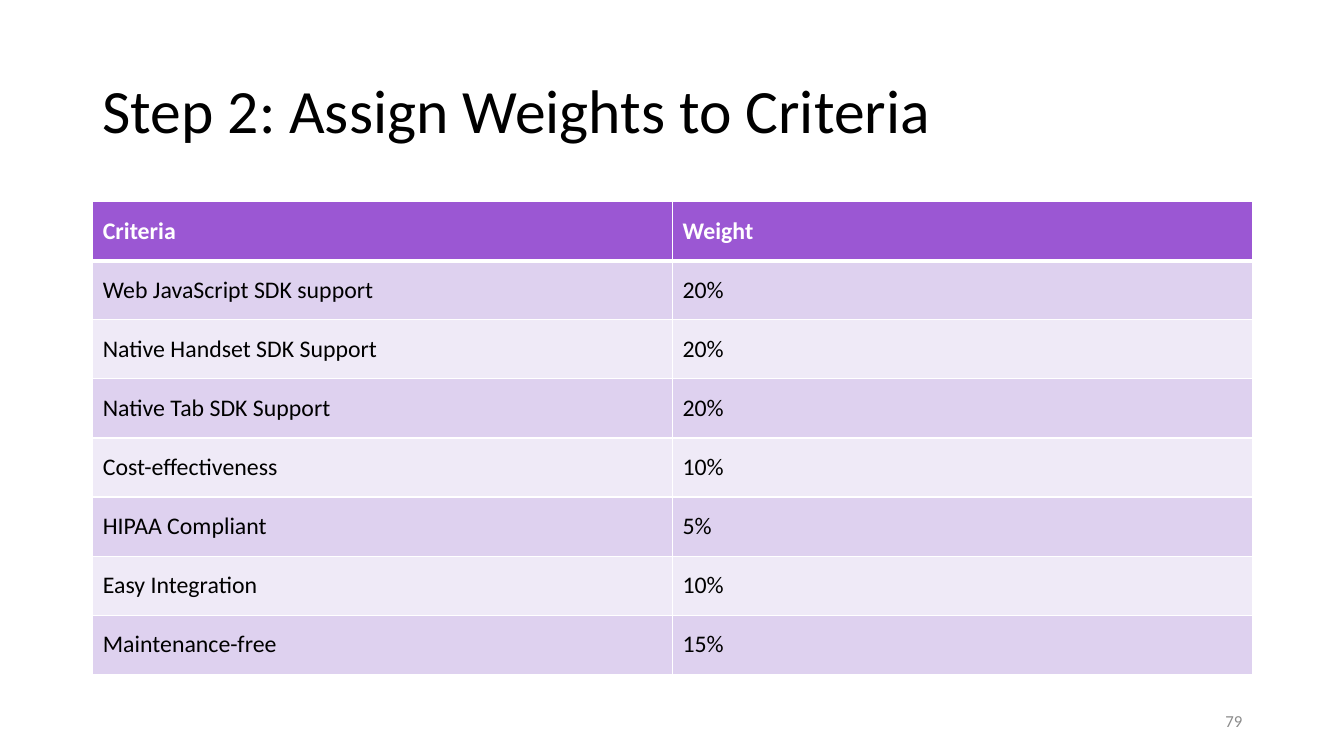
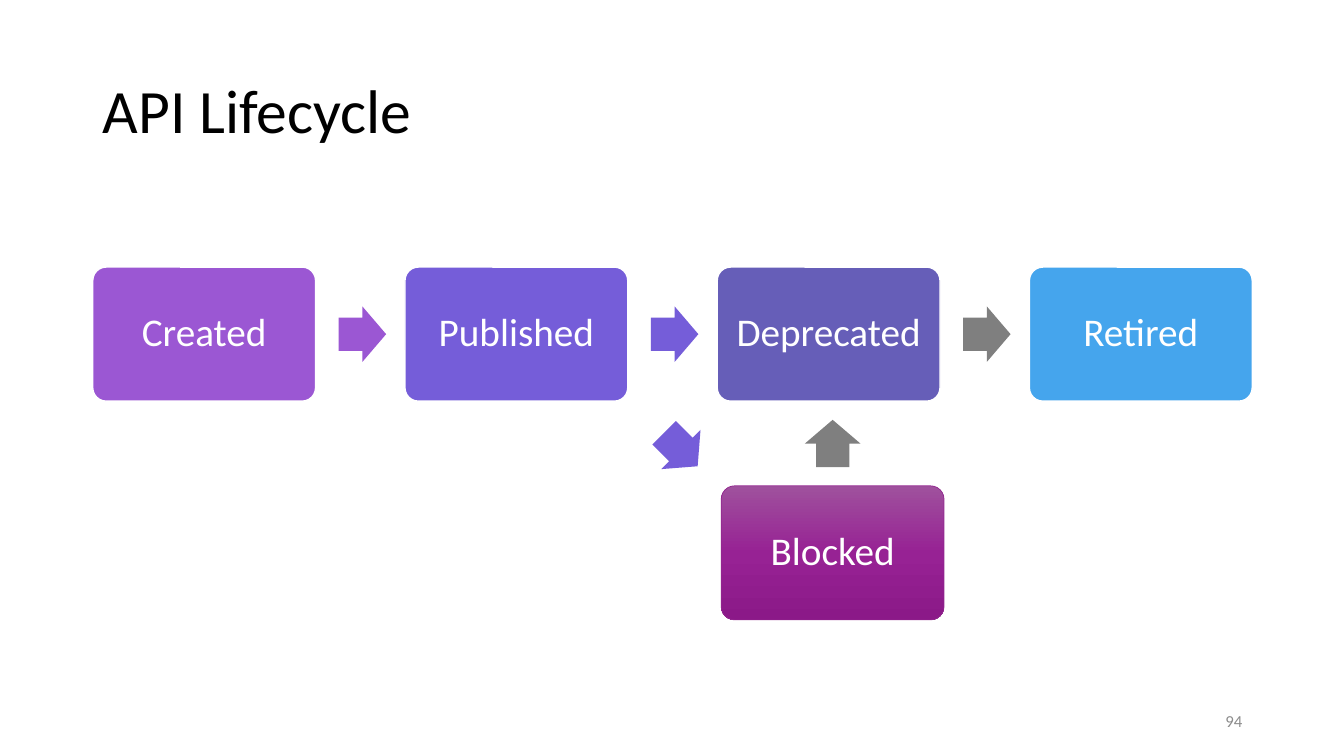
import copy

import lxml.etree
import pptx
import pptx.dml.color
import pptx.enum.shapes
import pptx.enum.text
import pptx.oxml.ns
import pptx.util

RGBColor = pptx.dml.color.RGBColor
Inches = pptx.util.Inches
Pt = pptx.util.Pt
MSO_SHAPE = pptx.enum.shapes.MSO_SHAPE
MIDDLE = pptx.enum.text.MSO_ANCHOR.MIDDLE
PP_ALIGN = pptx.enum.text.PP_ALIGN
qn = pptx.oxml.ns.qn

FONT = "Calibri"
WHITE = RGBColor(0xFF, 0xFF, 0xFF)
BLACK = RGBColor(0x00, 0x00, 0x00)
GREY = RGBColor(0x8C, 0x8C, 0x8C)
PURPLE = RGBColor(0x9B, 0x57, 0xD3)
VIOLET = RGBColor(0x75, 0x5D, 0xD9)
INDIGO = RGBColor(0x66, 0x5E, 0xB8)
BLUE = RGBColor(0x45, 0xA5, 0xED)
PLUM = RGBColor(0x92, 0x27, 0x8F)
BAND_DARK = RGBColor(0xDE, 0xD1, 0xEF)
BAND_LIGHT = RGBColor(0xEF, 0xEA, 0xF7)
BLOCKED_STOPS = [
    (0, RGBColor(0x9F, 0x51, 0x9D)),
    (0.5, RGBColor(0x97, 0x22, 0x94)),
    (1, RGBColor(0x8B, 0x19, 0x88)),
]

# Lengths in inches
PAGE_WIDTH, PAGE_HEIGHT = 13.33, 7.5
LEFT, CONTENT_WIDTH = 0.92, 11.5
TITLE_TOP, TITLE_HEIGHT = 0.4, 1.45
NUMBER_TOP, NUMBER_WIDTH, NUMBER_HEIGHT = 6.95, 3, 0.4
TABLE_TOP, TABLE_HEIGHT = 2, 4.69
STATE_WIDTH, STATE_HEIGHT, STATE_TOP = 2.21, 1.33, 2.65
ARROW_WIDTH, ARROW_HEIGHT, ARROW_GAP = 0.47, 0.55, 0.23
ROW_PITCH = 2.17

CRITERIA = [
    ("Criteria", "Weight"),
    ("Web JavaScript SDK support", "20%"),
    ("Native Handset SDK Support", "20%"),
    ("Native Tab SDK Support", "20%"),
    ("Cost-effectiveness", "10%"),
    ("HIPAA Compliant", "5%"),
    ("Easy Integration", "10%"),
    ("Maintenance-free", "15%"),
]
# State, its colour, colour and opacity of the arrow after it
STATES = [
    ("Created", PURPLE, (PURPLE, 1)),
    ("Published", VIOLET, (VIOLET, 1)),
    ("Deprecated", INDIGO, (BLACK, 0.5)),
    ("Retired", BLUE, None),
]


def write(frame, text, size, color, align=PP_ALIGN.LEFT, bold=False, spacing=1.0):
    """Put one line of text, centred vertically, in a shape or a cell."""
    para = frame.paragraphs[0]
    para.alignment = align
    para.line_spacing = spacing
    span = para.add_run()
    span.text = text
    span.font.name = FONT
    span.font.size = Pt(size)
    span.font.bold = bold
    span.font.color.rgb = color


def add_text(page, left, top, width, height, text, size, color, **style):
    box = page.shapes.add_textbox(*map(Inches, (left, top, width, height)))
    box.text_frame.word_wrap = True
    box.text_frame.vertical_anchor = MIDDLE
    write(box.text_frame, text, size, color, **style)


def add_page(deck, title, number):
    page = deck.slides.add_slide(deck.slide_layouts[6])
    add_text(page, LEFT, TITLE_TOP, CONTENT_WIDTH, TITLE_HEIGHT,
             title, 44, BLACK, spacing=0.9)
    add_text(page, LEFT + CONTENT_WIDTH - NUMBER_WIDTH, NUMBER_TOP,
             NUMBER_WIDTH, NUMBER_HEIGHT, number, 12, GREY, align=PP_ALIGN.RIGHT)
    return page


def set_borders(cell, top, bottom):
    """Draw white borders; top and bottom are widths in points."""
    properties = cell._tc.get_or_add_tcPr()
    edges = [("a:lnL", 1), ("a:lnR", 1), ("a:lnT", top), ("a:lnB", bottom)]
    for index, (tag, width) in enumerate(edges):
        line = lxml.etree.Element(qn(tag), w=str(Pt(width)))
        fill = lxml.etree.SubElement(line, qn("a:solidFill"))
        lxml.etree.SubElement(fill, qn("a:srgbClr"), val=str(WHITE))
        properties.insert(index, line)


def add_criteria_table(page, rows):
    table = page.shapes.add_table(
        len(rows), len(rows[0]),
        *map(Inches, (LEFT, TABLE_TOP, CONTENT_WIDTH, TABLE_HEIGHT))).table
    for row, values in enumerate(rows):
        header = row == 0
        band = PURPLE if header else (BAND_LIGHT, BAND_DARK)[row % 2]
        for column, value in enumerate(values):
            cell = table.cell(row, column)
            cell.vertical_anchor = MIDDLE
            cell.fill.solid()
            cell.fill.fore_color.rgb = band
            set_borders(cell, 3 if row == 1 else 1, 3 if header else 1)
            write(cell.text_frame, value, 17, WHITE if header else BLACK, bold=header)


def add_state(page, left, top, text, color, line_color=WHITE, line_width=1):
    state = page.shapes.add_shape(
        MSO_SHAPE.ROUNDED_RECTANGLE,
        *map(Inches, (left, top, STATE_WIDTH, STATE_HEIGHT)))
    state.adjustments[0] = 0.1
    state.shadow.inherit = False
    state.fill.solid()
    state.fill.fore_color.rgb = color
    state.line.color.rgb = line_color
    state.line.width = Pt(line_width)
    frame = state.text_frame
    frame.word_wrap = True
    frame.vertical_anchor = MIDDLE
    frame.margin_left = frame.margin_right = Inches(0.1)
    write(frame, text, 28, WHITE, align=PP_ALIGN.CENTER, spacing=0.9)
    return state


def set_gradient(shape, stops):
    """Fill a shape from top to bottom with three colour stops."""
    shape.fill.gradient()
    shape.fill.gradient_angle = 270
    first = shape.element.spPr.find(".//" + qn("a:gs"))
    first.addnext(copy.deepcopy(first))
    for stop, (position, color) in zip(shape.fill.gradient_stops, stops):
        stop.position = position
        stop.color.rgb = color


def add_arrow(page, center_x, center_y, color, opacity=1, rotation=0):
    arrow = page.shapes.add_shape(
        MSO_SHAPE.RIGHT_ARROW,
        *map(Inches, (center_x - ARROW_WIDTH / 2, center_y - ARROW_HEIGHT / 2,
                      ARROW_WIDTH, ARROW_HEIGHT)))
    arrow.adjustments[0] = 0.6
    arrow.adjustments[1] = 0.5
    arrow.rotation = rotation
    arrow.shadow.inherit = False
    arrow.line.fill.background()
    arrow.fill.solid()
    arrow.fill.fore_color.rgb = color
    if opacity < 1:
        tint = arrow.element.spPr.find(qn("a:solidFill") + "/" + qn("a:srgbClr"))
        lxml.etree.SubElement(tint, qn("a:alpha"), val=str(int(opacity * 100000)))


def add_lifecycle(page):
    pitch = (CONTENT_WIDTH - STATE_WIDTH) / (len(STATES) - 1)
    middle = STATE_TOP + STATE_HEIGHT / 2
    for column, (name, color, arrow) in enumerate(STATES):
        left = LEFT + column * pitch
        add_state(page, left, STATE_TOP, name, color)
        if arrow:
            arrow_x = left + STATE_WIDTH + ARROW_GAP + ARROW_WIDTH / 2
            add_arrow(page, arrow_x, middle, *arrow)

    blocked_left = LEFT + 2 * pitch + 0.04
    blocked = add_state(page, blocked_left, STATE_TOP + ROW_PITCH, "Blocked",
                        PLUM, line_color=PLUM, line_width=0.5)
    set_gradient(blocked, BLOCKED_STOPS)
    between_rows = STATE_TOP + (STATE_HEIGHT + ROW_PITCH) / 2
    add_arrow(page, blocked_left - 0.4, between_rows + 0.06, VIOLET, rotation=45)
    add_arrow(page, blocked_left + STATE_WIDTH / 2, between_rows, BLACK,
              opacity=0.5, rotation=270)


def main():
    deck = pptx.Presentation()
    deck.slide_width = Inches(PAGE_WIDTH)
    deck.slide_height = Inches(PAGE_HEIGHT)
    add_criteria_table(add_page(deck, "Step 2: Assign Weights to Criteria", "79"), CRITERIA)
    add_lifecycle(add_page(deck, "API Lifecycle", "94"))
    deck.save("out.pptx")


if __name__ == "__main__":
    main()
